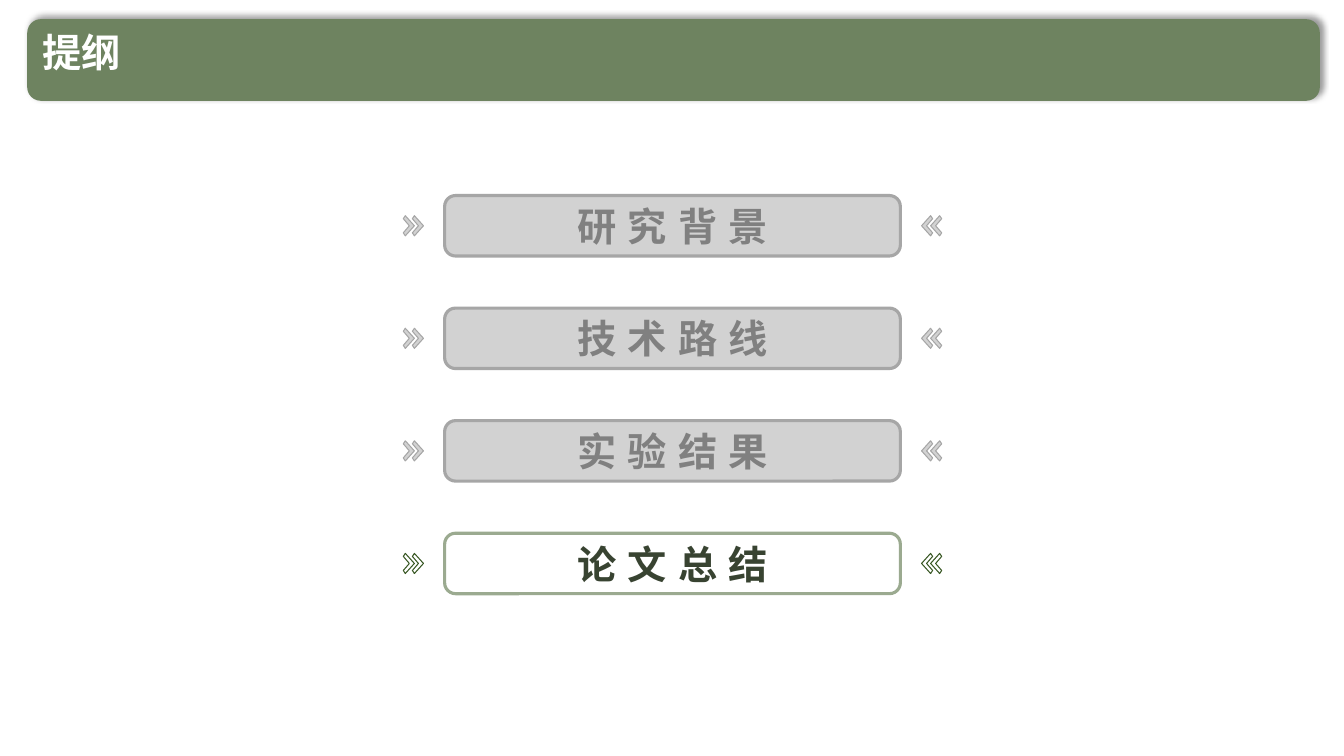
from dataclasses import dataclass

from lxml import etree
from pptx import Presentation
from pptx.dml.color import RGBColor
from pptx.enum.shapes import MSO_SHAPE
from pptx.enum.text import MSO_ANCHOR, MSO_AUTO_SIZE, PP_ALIGN
from pptx.oxml import parse_xml
from pptx.oxml.ns import nsdecls, qn
from pptx.util import Inches, Pt

ROUND = MSO_SHAPE.ROUNDED_RECTANGLE
TOP, MIDDLE = MSO_ANCHOR.TOP, MSO_ANCHOR.MIDDLE
LEFT, CENTER = PP_ALIGN.LEFT, PP_ALIGN.CENTER
NO_FIT = MSO_AUTO_SIZE.NONE
TITLE_ONLY = 5


@dataclass(frozen=True)
class Theme:
    face: str = "Noto Sans CJK SC"
    size: int = 28
    band: str = "6E8360"
    white: str = "FFFFFF"
    gray: str = "A6A6A6"
    dim: str = "808080"
    edge: str = "9BAA90"
    dark: str = "384331"
    arrow: str = "385723"


THEME = Theme()
TOPICS = ["研究背景", "技术路线", "实验结果", "论文总结"]
ACTIVE = "论文总结"
# Outline of one chevron pointing right, in inches
CHEVRON = [(0.02, 0), (0, 0.03), (0.06, 0.1), (0, 0.17), (0.02, 0.2), (0.11, 0.1)]


def rgb(code):
    return RGBColor.from_string(code)


def paint(shape, fill, line, width):
    """Give a shape its outline and a half-clear fill, or none."""
    shape.shadow.inherit = False
    shape.line.color.rgb = rgb(line)
    shape.line.width = Pt(width)
    if fill is None:
        shape.fill.background()
        return
    shape.fill.solid()
    shape.fill.fore_color.rgb = rgb(fill)
    tint = shape.element.spPr.find(qn("a:solidFill"))[0]
    etree.SubElement(tint, qn("a:alpha"), val="50000")


def write(shape, text, color, align, anchor, gap=0):
    """Set one bold line; gap is the letter spacing in points."""
    frame = shape.text_frame
    frame.text = text
    frame.word_wrap = True
    frame.auto_size = NO_FIT
    frame.vertical_anchor = anchor
    para = frame.paragraphs[0]
    para.alignment = align
    font = para.font
    font.size, font.bold, font.name = Pt(THEME.size), True, THEME.face
    font.color.rgb = rgb(color)
    props = para._p.pPr.find(qn("a:defRPr"))
    props.set("spc", str(gap * 100))
    etree.SubElement(props, qn("a:ea"), typeface=THEME.face)
    return para


def add_header(slide, left, top, width, height):
    # Green band with a soft shadow
    band = slide.shapes.add_shape(
        ROUND, Inches(left), Inches(top), Inches(width), Inches(height))
    band.shadow.inherit = False
    band.fill.solid()
    band.fill.fore_color.rgb = rgb(THEME.band)
    band.line.fill.background()
    effects = band.element.spPr.find(qn("a:effectLst"))
    effects.append(parse_xml(
        f'<a:outerShdw {nsdecls("a")} blurRad="{Pt(4)}" dist="{Pt(3)}" '
        'dir="18900000" algn="bl" rotWithShape="0"><a:srgbClr val="000000">'
        '<a:alpha val="40000"/></a:srgbClr></a:outerShdw>'))

    # Title, brought in front of the band
    title = slide.shapes.title
    title.left, title.top = Inches(left + 0.05), Inches(top + 0.09)
    title.width, title.height = Inches(11.07), Inches(0.62)
    para = write(title, "提纲", THEME.white, LEFT, TOP)
    para.line_spacing = 0.9
    slide.shapes._spTree.append(title.element)


def add_chevron(group, left, top, sign, fill, line):
    """Draw a chevron from its back edge; sign -1 points it left."""
    points = [(Inches(left + sign * x), Inches(top + y)) for x, y in CHEVRON]
    pen = group.shapes.build_freeform(*points[0])
    pen.add_line_segments(points[1:], close=True)
    paint(pen.convert_to_shape(), fill, line, 0.75)


def add_topic(slide, text, left, top, width, height):
    active = text == ACTIVE
    fill = None if active else THEME.gray
    edge = THEME.edge if active else THEME.gray
    mark = THEME.arrow if active else THEME.gray
    color = THEME.dark if active else THEME.dim
    group = slide.shapes.add_group_shape()

    # Chevron pairs on both sides
    for start, sign in ((left, 1), (left + width, -1)):
        for step in (0, 0.09):
            add_chevron(group, start + sign * step, top + 0.2, sign, fill, mark)

    # Topic box
    inset = 0.41
    box = group.shapes.add_shape(
        ROUND, Inches(left + inset), Inches(top),
        Inches(width - 2 * inset), Inches(height))
    box.adjustments[0] = 0.18
    paint(box, fill, edge, 2.25)
    write(box, text, color, CENTER, MIDDLE, gap=8)


def add_outline(slide, left, top, width, height):
    row = 0.6
    pitch = (height - row) / (len(TOPICS) - 1)
    for index, text in enumerate(TOPICS):
        add_topic(slide, text, left, top + index * pitch, width, row)


def main():
    deck = Presentation()
    deck.slide_width, deck.slide_height = Inches(13.33), Inches(7.5)
    slide = deck.slides.add_slide(deck.slide_layouts[TITLE_ONLY])
    add_header(slide, 0.27, 0.19, 12.82, 0.81)
    add_outline(slide, 4, 1.94, 5.34, 3.95)
    deck.save("out.pptx")


if __name__ == "__main__":
    main()
